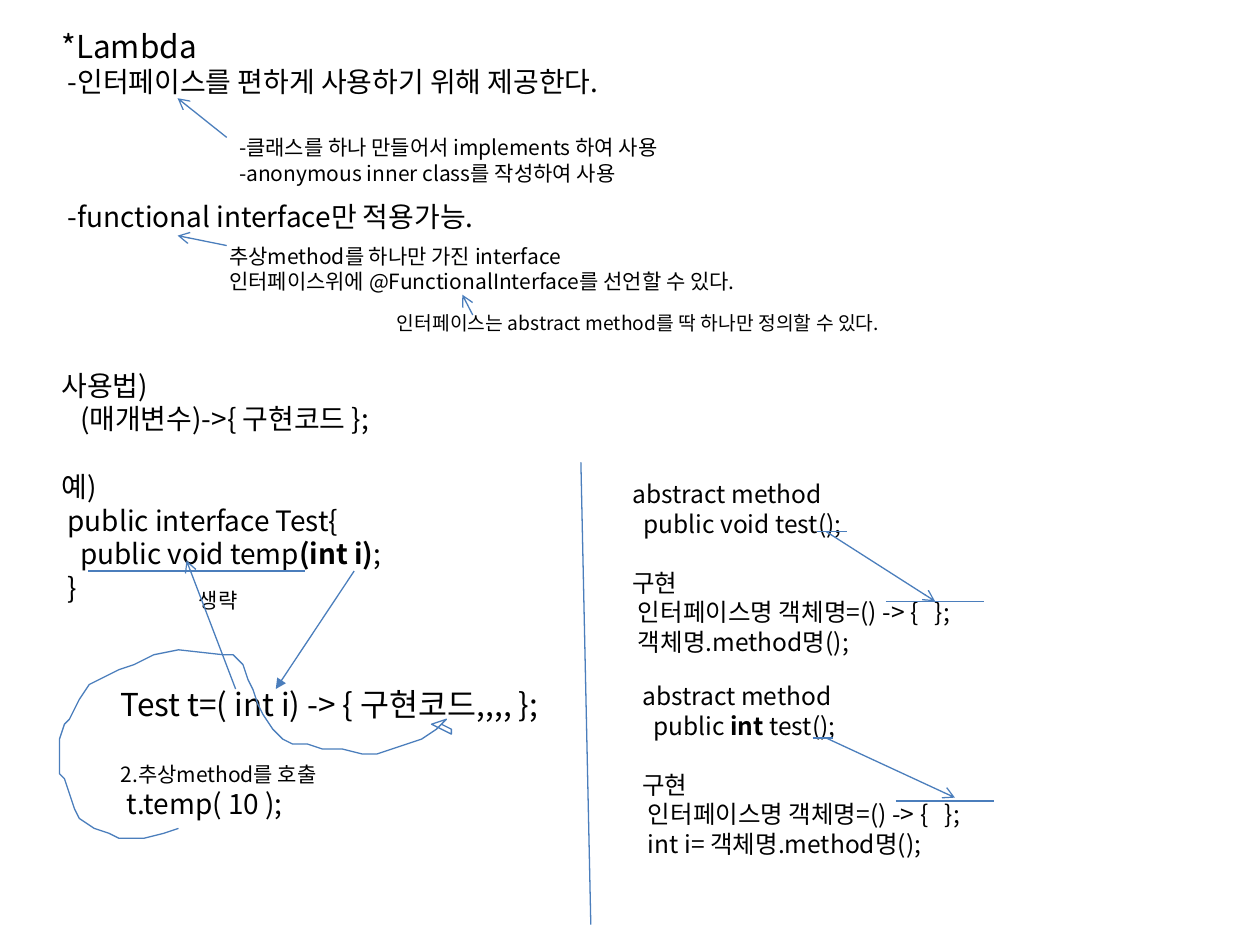
"""Build a one-slide summary of Java lambda expressions."""
from dataclasses import dataclass

from lxml.etree import SubElement
from pptx import Presentation
from pptx.dml.color import RGBColor
from pptx.enum.shapes import MSO_CONNECTOR
from pptx.enum.text import MSO_AUTO_SIZE
from pptx.oxml.ns import qn
from pptx.util import Cm, Pt


@dataclass(frozen=True)
class Theme:
    font: str = "Noto Sans CJK KR"
    ink: RGBColor = RGBColor(0x00, 0x00, 0x00)
    stroke: RGBColor = RGBColor(0x4B, 0x7E, 0xBC)
    stroke_width: float = 0.75
    line_height: float = 1.205
    title: int = 18
    body: int = 16
    code: int = 14
    note: int = 12
    small: int = 11


THEME = Theme()


@dataclass(frozen=True)
class Para:
    text: str
    size: int = THEME.body
    gap: float = 0
    indent: float = 0


@dataclass(frozen=True)
class Block:
    x: float
    y: float
    w: float
    h: float
    paras: tuple[Para, ...]


@dataclass(frozen=True)
class Line:
    x1: float
    y1: float
    x2: float
    y2: float
    head: str = ""


def method_block(x: float, y: float, signature: str, call: str) -> Block:
    """Describe an abstract method with its lambda implementation."""
    size = THEME.code
    return Block(x, y, 7.82, 3.84, (
        Para("abstract method", size),
        Para(signature, size),
        Para("구현", size, gap=size * THEME.line_height),
        Para(" 인터페이스명 객체명=() -> {   };", size),
        Para(call, size),
    ))


BODY_LINE = THEME.body * THEME.line_height
BLOCKS = (
    Block(0.99, 0.41, 12.7, 12.65, (
        Para("*Lambda", THEME.title),
        Para("-인터페이스를 편하게 사용하기 위해 제공한다.", indent=0.13),
        Para("-functional interface만 적용가능.", gap=3 * BODY_LINE, indent=0.13),
        Para("사용법)", gap=4 * BODY_LINE),
        Para("   (매개변수)->{ 구현코드 };"),
        Para("예)", gap=BODY_LINE),
        Para(" public interface Test{"),
        Para("   public void temp**(int i)**;"),
        Para(" }"),
    )),
    Block(4.57, 2.59, 9.68, 1.27, (
        Para("-클래스를 하나 만들어서 implements 하여 사용", THEME.note),
        Para("-anonymous inner class를 작성하여 사용", THEME.note),
    )),
    Block(4.37, 4.78, 11.51, 1.27, (
        Para("추상method를 하나만 가진 interface", THEME.note),
        Para("인터페이스위에 @FunctionalInterface를 선언할 수 있다.", THEME.note),
    )),
    Block(7.75, 6.15, 11.02, 0.74, (
        Para("인터페이스는 abstract method를 딱 하나만 정의할 수 있다.", THEME.small),
    )),
    Block(2.18, 13.69, 9.58, 3.0, (
        Para("Test t=( int i) -> { 구현코드,,,, };", THEME.title),
        Para("2.추상method를 호출", THEME.note, gap=THEME.title * THEME.line_height),
        Para(" t.temp( 10 );"),
    )),
    Block(3.76, 11.71, 1.37, 0.76, (Para("생략", THEME.note),)),
    method_block(12.5, 9.53, "  public void test();", " 객체명.method명();"),
    method_block(12.7, 13.61, "  public **int** test();", " int i= 객체명.method명();"),
)

LINES = (
    Line(4.57, 2.77, 3.58, 1.98, "arrow"),
    Line(4.57, 4.95, 3.58, 4.75, "arrow"),
    Line(9.53, 6.35, 9.32, 5.94, "arrow"),
    Line(4.75, 13.89, 3.76, 11.3, "arrow"),
    Line(1.78, 11.51, 6.15, 11.51),
    Line(7.14, 11.51, 5.56, 13.89, "triangle"),
    Line(11.71, 9.32, 11.91, 18.64),
    Line(16.46, 10.72, 17.07, 10.72),
    Line(16.66, 10.72, 18.85, 12.12, "arrow"),
    Line(17.86, 12.12, 19.84, 12.12),
    Line(16.38, 14.88, 16.79, 14.88),
    Line(16.66, 14.88, 19.25, 16.08, "arrow"),
    Line(18.06, 16.15, 20.04, 16.15),
)

CALL_CURVE_MM = (
    (35.6, 166.6), (33.3, 168.1), (29, 169.2), (23.9, 168.9), (21.6, 167.9),
    (18.8, 166.6), (16.5, 165.4), (14.7, 163.1), (13.7, 160.5), (13, 157.2),
    (12.4, 155.7), (12.4, 149.4), (13.2, 146.3), (13.7, 144.8), (14.7, 143.3),
    (16.3, 140.7), (18, 138.4), (19.8, 137.4), (21.8, 135.9), (24.1, 134.9),
    (26.9, 133.6), (31.2, 132.1), (35.6, 131.3), (45, 131.6), (46.7, 132.3),
    (49.3, 134.4), (50.5, 137.2), (51.3, 138.9), (52.1, 141.5), (53.3, 144.3),
    (55.4, 147.3), (57.4, 148.6), (59.4, 149.6), (62.2, 150.4), (65.3, 151.1),
    (69.1, 151.4), (72.9, 151.9), (75.9, 151.9), (78.7, 151.1), (82.3, 149.9),
    (84.8, 148.6), (87.6, 146.8), (89.7, 145.3), (87.1, 145.5), (86.9, 146.1),
    (88.6, 146.8), (91.2, 147.8), (90.7, 146.6), (89.2, 145.5),
)


def draw_block(shapes, block: Block) -> None:
    """Draw a text block; double asterisks switch bold on and off."""
    tf = shapes.add_textbox(*map(Cm, (block.x, block.y, block.w, block.h))).text_frame
    tf.word_wrap = False
    tf.auto_size = MSO_AUTO_SIZE.SHAPE_TO_FIT_TEXT
    for i, para in enumerate(block.paras):
        p = tf.add_paragraph() if i else tf.paragraphs[0]
        p.line_spacing = Pt(para.size * THEME.line_height)
        if para.gap:
            p.space_before = Pt(para.gap)
        if para.indent:
            p._p.get_or_add_pPr().set("marL", str(Cm(para.indent)))
        for j, text in enumerate(para.text.split("**")):
            r = p.add_run()
            r.text = text
            r.font.size = Pt(para.size)
            r.font.bold = j % 2 == 1
            r.font.color.rgb = THEME.ink
            r.font.name = THEME.font
            SubElement(r._r.get_or_add_rPr(), qn("a:ea"), typeface=THEME.font)


def style_line(line) -> None:
    """Apply the theme stroke."""
    line.color.rgb = THEME.stroke
    line.width = Pt(THEME.stroke_width)


def draw_line(shapes, line: Line) -> None:
    """Draw a straight line with an optional arrowhead."""
    ends = map(Cm, (line.x1, line.y1, line.x2, line.y2))
    cxn = shapes.add_connector(MSO_CONNECTOR.STRAIGHT, *ends)
    style_line(cxn.line)
    if line.head:
        SubElement(cxn.line._get_or_add_ln(), qn("a:tailEnd"), type=line.head)
    SubElement(cxn._element.spPr, qn("a:effectLst"))


def draw_curve(shapes, points: tuple[tuple[float, float], ...]) -> None:
    """Draw an open freehand outline through points in millimetres."""
    builder = shapes.build_freeform(*points[0], scale=Cm(0.1))
    builder.add_line_segments(points[1:], close=False)
    sp = builder.convert_to_shape()
    sp.shadow.inherit = False
    sp.fill.background()
    style_line(sp.line)


def main() -> None:
    """Build and save the slide."""
    prs = Presentation()
    prs.slide_width, prs.slide_height = Cm(25.4), Cm(19.05)
    shapes = prs.slides.add_slide(prs.slide_layouts[6]).shapes
    for block in BLOCKS:
        draw_block(shapes, block)
    for line in LINES:
        draw_line(shapes, line)
    draw_curve(shapes, CALL_CURVE_MM)
    prs.save("out.pptx")


if __name__ == "__main__":
    main()
